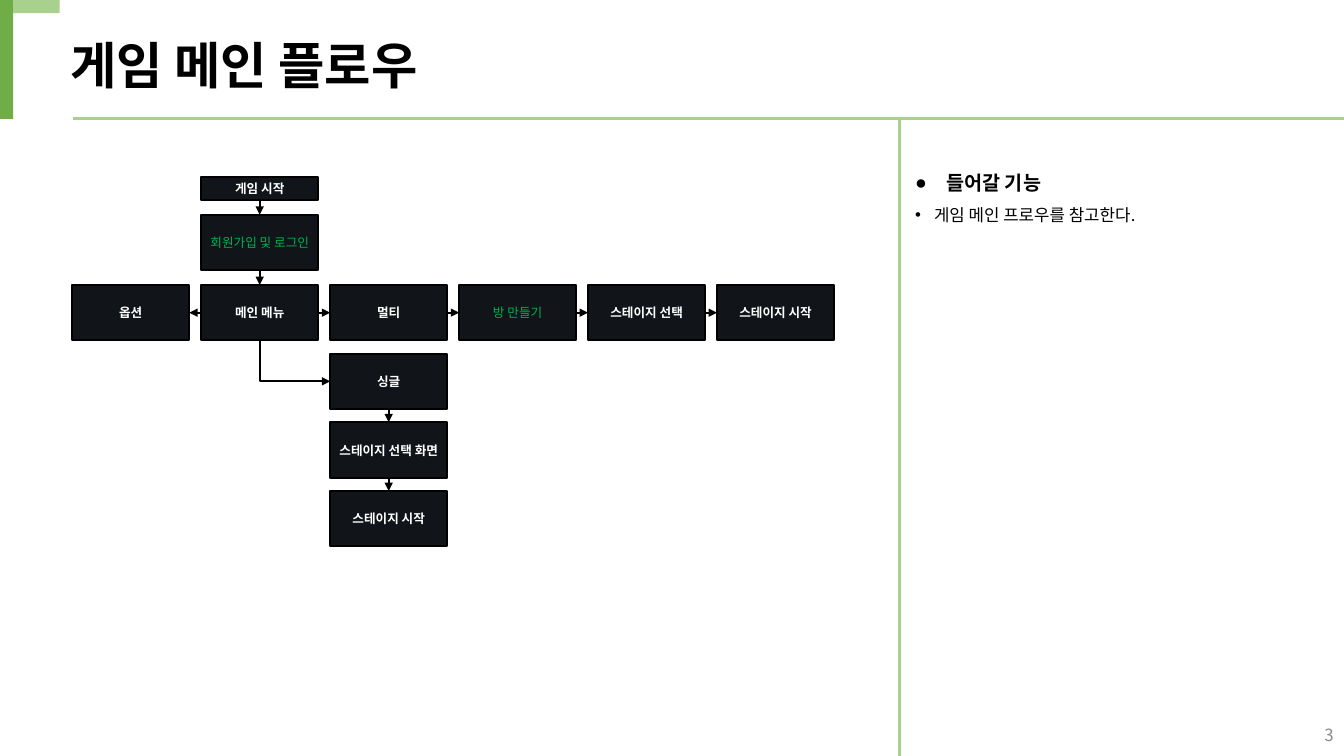
from dataclasses import dataclass

import lxml.etree
import pptx
import pptx.dml.color
import pptx.enum.shapes
import pptx.enum.text
import pptx.oxml.ns
import pptx.util

Cm = pptx.util.Cm
Pt = pptx.util.Pt
qn = pptx.oxml.ns.qn
ALIGN = pptx.enum.text.PP_ALIGN
ANCHOR = pptx.enum.text.MSO_ANCHOR
FIT = pptx.enum.text.MSO_AUTO_SIZE
RECTANGLE = pptx.enum.shapes.MSO_SHAPE.RECTANGLE
CONNECTOR = pptx.enum.shapes.MSO_CONNECTOR
TOP, LEFT, BOTTOM, RIGHT = range(4)


@dataclass(frozen=True)
class Theme:
    korean: str = "Noto Sans CJK KR"
    latin: str = "Arial"
    black: str = "000000"
    white: str = "FFFFFF"
    grey: str = "888888"
    green: str = "70AD47"
    pale_green: str = "A9D18E"
    node_fill: str = "11151A"
    accent: str = "00B050"
    title_size: float = 36
    heading_size: float = 14
    body_size: float = 12
    node_size: float = 9
    rule_width: float = 2.25
    flow_width: float = 1.5


@dataclass(frozen=True)
class Node:
    key: str
    label: str
    column: int
    row: int
    height: float = 1.4
    highlighted: bool = False


@dataclass(frozen=True)
class Arrow:
    source: str
    target: str
    leave: int
    enter: int


@dataclass(frozen=True)
class Bullet:
    text: str
    mark: str
    size: float
    bold: bool
    indent: float


THEME = Theme()

# Flow grid, in centimetres
COLUMN_START, COLUMN_STEP, NODE_WIDTH = 1.82, 3.25, 2.95
ROW_TOPS = (4.47, 5.41, 7.18, 8.91, 10.64, 12.37)

NODES = (
    Node("start", "게임 시작", 1, 0, height=0.58),
    Node("login", "회원가입 및 로그인", 1, 1, highlighted=True),
    Node("options", "옵션", 0, 2),
    Node("menu", "메인 메뉴", 1, 2),
    Node("multi", "멀티", 2, 2),
    Node("room", "방 만들기", 3, 2, highlighted=True),
    Node("multi_stage", "스테이지 선택", 4, 2),
    Node("multi_play", "스테이지 시작", 5, 2),
    Node("single", "싱글", 2, 3),
    Node("single_stage", "스테이지 선택 화면", 2, 4),
    Node("single_play", "스테이지 시작", 2, 5),
)
ARROWS = (
    Arrow("start", "login", BOTTOM, TOP),
    Arrow("login", "menu", BOTTOM, TOP),
    Arrow("menu", "options", LEFT, RIGHT),
    Arrow("menu", "multi", RIGHT, LEFT),
    Arrow("multi", "room", RIGHT, LEFT),
    Arrow("room", "multi_stage", RIGHT, LEFT),
    Arrow("multi_stage", "multi_play", RIGHT, LEFT),
    Arrow("menu", "single", BOTTOM, LEFT),
    Arrow("single", "single_stage", BOTTOM, TOP),
    Arrow("single_stage", "single_play", BOTTOM, TOP),
)
BULLETS = (
    Bullet("들어갈 기능", "●", THEME.heading_size, True, 0.79),
    Bullet("게임 메인 프로우를 참고한다.", "•", THEME.body_size, False, 0.48),
)


def rgb(value: str) -> pptx.dml.color.RGBColor:
    return pptx.dml.color.RGBColor.from_string(value)


def add_span(para, text: str, size: float, color: str, bold: bool = False,
             font: str = THEME.korean) -> None:
    span = para.add_run()
    span.text = text
    span.font.size = Pt(size)
    span.font.bold = bold
    span.font.color.rgb = rgb(color)
    span.font.name = font
    east_asian = lxml.etree.Element(qn("a:ea"), typeface=THEME.korean)
    span.font._element.find(qn("a:latin")).addnext(east_asian)


def add_text_frame(page, left: float, top: float, width: float, height: float):
    box = page.shapes.add_textbox(Cm(left), Cm(top), Cm(width), Cm(height))
    box.text_frame.word_wrap = True
    return box.text_frame


def add_block(page, left: float, top: float, width: float, height: float, fill: str):
    block = page.shapes.add_shape(RECTANGLE, Cm(left), Cm(top), Cm(width), Cm(height))
    block.shadow.inherit = False
    block.fill.solid()
    block.fill.fore_color.rgb = rgb(fill)
    block.line.fill.background()
    return block


def add_line(page, kind, color: str, width: float, ends=(0, 0, 0, 0)):
    line = page.shapes.add_connector(kind, *(Cm(value) for value in ends))
    line.line.color.rgb = rgb(color)
    line.line.width = Pt(width)
    lxml.etree.SubElement(line._element.spPr, qn("a:effectLst"))
    return line


def add_node(page, node: Node):
    left = COLUMN_START + node.column * COLUMN_STEP
    box = add_block(page, left, ROW_TOPS[node.row], NODE_WIDTH, node.height, THEME.node_fill)
    box.line.color.rgb = rgb(THEME.black)
    box.line.width = Pt(THEME.flow_width)
    box.text_frame.word_wrap = False
    box.text_frame.vertical_anchor = ANCHOR.MIDDLE
    para = box.text_frame.paragraphs[0]
    para.alignment = ALIGN.CENTER
    color = THEME.accent if node.highlighted else THEME.white
    add_span(para, node.label, THEME.node_size, color, not node.highlighted, THEME.latin)
    return box


def bend_once(line) -> None:
    """Turn an elbow going down and right into a single corner."""
    across, down = line.width, line.height
    shift = (across - down) // 2
    line.left, line.top = line.left + shift, line.top - shift
    line.width, line.height = down, across
    frame = line._element.spPr.find(qn("a:xfrm"))
    frame.set("rot", "16200000")
    frame.set("flipH", "1")
    line._element.spPr.find(qn("a:prstGeom")).set("prst", "bentConnector2")


def add_arrow(page, arrow: Arrow, boxes: dict) -> None:
    bent = (arrow.leave, arrow.enter) == (BOTTOM, LEFT)
    kind = CONNECTOR.ELBOW if bent else CONNECTOR.STRAIGHT
    line = add_line(page, kind, THEME.black, THEME.flow_width)
    line.begin_connect(boxes[arrow.source], arrow.leave)
    line.end_connect(boxes[arrow.target], arrow.enter)
    if bent:
        bend_once(line)
    lxml.etree.SubElement(line.line._get_or_add_ln(), qn("a:tailEnd"), type="triangle")


def add_bullet(para, bullet: Bullet) -> None:
    properties = para._p.get_or_add_pPr()
    properties.set("marL", str(Cm(bullet.indent)))
    properties.set("indent", str(-Cm(bullet.indent)))
    color = lxml.etree.SubElement(properties, qn("a:buClr"))
    lxml.etree.SubElement(color, qn("a:srgbClr"), val=THEME.black)
    lxml.etree.SubElement(properties, qn("a:buFont"), typeface=THEME.latin)
    lxml.etree.SubElement(properties, qn("a:buChar"), char=bullet.mark)
    para.line_spacing = 1.5
    add_span(para, bullet.text, bullet.size, THEME.black, bullet.bold)


def main() -> None:
    deck = pptx.Presentation()
    deck.slide_width, deck.slide_height = Cm(33.87), Cm(19.05)
    page = deck.slides.add_slide(deck.slide_layouts[6])

    # Corner ornament and dividing rules
    add_block(page, 0, 0, 0.33, 3, THEME.green)
    add_block(page, 0.75, -0.42, 0.33, 1.17, THEME.pale_green).rotation = 90
    for ends in ((1.83, 2.98, 33.87, 2.98), (22.66, 19.05, 22.66, 2.98)):
        add_line(page, CONNECTOR.STRAIGHT, THEME.pale_green, THEME.rule_width, ends)

    # Title
    title = add_text_frame(page, 1.52, 0.74, 26.34, 1.8)
    title.auto_size = FIT.SHAPE_TO_FIT_TEXT
    add_span(title.paragraphs[0], "게임 메인 플로우", THEME.title_size, THEME.black, True)

    # Game flow
    boxes = {node.key: add_node(page, node) for node in NODES}
    for arrow in ARROWS:
        add_arrow(page, arrow, boxes)

    # Feature notes
    features = add_text_frame(page, 22.81, 3.89, 10.87, 1.83)
    features.auto_size = FIT.SHAPE_TO_FIT_TEXT
    for index, bullet in enumerate(BULLETS):
        add_bullet(features.add_paragraph() if index else features.paragraphs[0], bullet)

    # Page number
    number = add_text_frame(page, 26.24, 18.01, 7.62, 1.02)
    number.vertical_anchor = ANCHOR.MIDDLE
    number.paragraphs[0].alignment = ALIGN.RIGHT
    add_span(number.paragraphs[0], "3", THEME.body_size, THEME.grey)

    deck.save("out.pptx")


if __name__ == "__main__":
    main()
